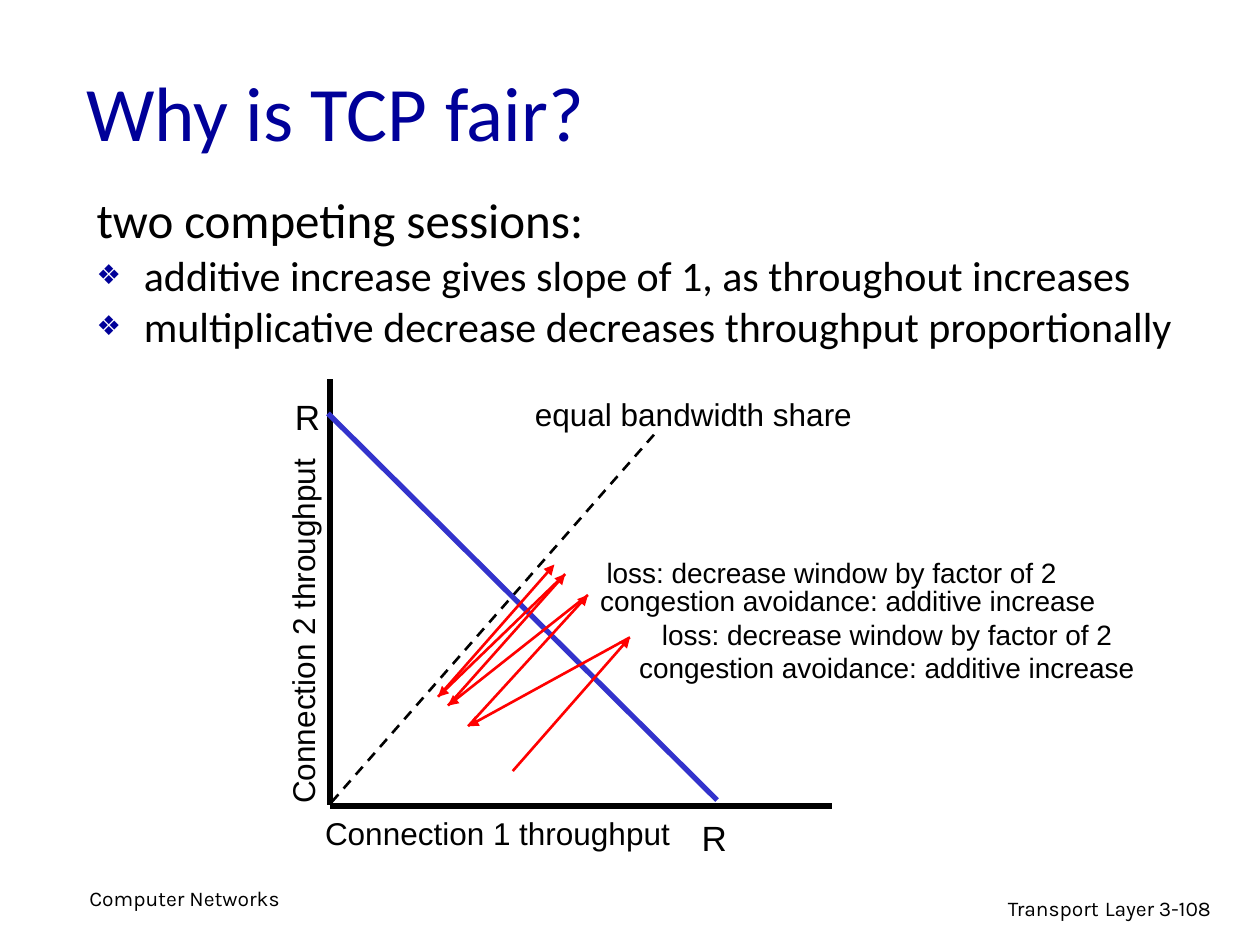
from itertools import pairwise

from lxml.etree import SubElement
from pptx import Presentation
from pptx.dml.color import RGBColor
from pptx.enum.dml import MSO_LINE
from pptx.enum.shapes import MSO_CONNECTOR
from pptx.enum.text import MSO_ANCHOR, MSO_AUTO_SIZE, PP_ALIGN
from pptx.oxml.ns import qn
from pptx.util import Pt

COLORS = {
    "text": "000000",
    "accent": "000099",
    "capacity": "3333CC",
    "path": "FF0000",
}


class SlideBuilder:
    heading_font = "Calibri"
    label_font = "Arial"
    footer_font = "Karla"
    indent = 27

    def __init__(self, slide):
        self.slide = slide

    def set_font(self, paragraph, name, size, color="text"):
        paragraph.font.name = name
        paragraph.font.size = Pt(size)
        paragraph.font.color.rgb = RGBColor.from_string(COLORS[color])

    def place(self, shape, left, top, width, height):
        shape.left, shape.top = Pt(left), Pt(top)
        shape.width, shape.height = Pt(width), Pt(height)
        shape.text_frame.auto_size = MSO_AUTO_SIZE.NONE
        shape.text_frame.word_wrap = True

    def title(self, text, *box):
        shape = self.slide.shapes.title
        self.place(shape, *box)
        shape.text_frame.vertical_anchor = MSO_ANCHOR.MIDDLE
        shape.text_frame.text = text
        paragraph = shape.text_frame.paragraphs[0]
        paragraph.alignment = PP_ALIGN.LEFT
        self.set_font(paragraph, self.heading_font, 44, "accent")

    def body(self, lead, items, *box):
        shape = self.slide.placeholders[1]
        self.place(shape, *box)
        shape.text_frame.text = "\n".join([lead, *items])
        for index, paragraph in enumerate(shape.text_frame.paragraphs):
            size = 24 if index else 28
            paragraph.line_spacing = 0.85
            paragraph.space_before = Pt(0.2 * size if index else 0)
            self.bullet(paragraph, "❖" if index else None)
            self.set_font(paragraph, self.heading_font, size)

    def bullet(self, paragraph, character):
        properties = paragraph._p.get_or_add_pPr()
        properties.set("marL", str(Pt(self.indent)))
        properties.set("indent", str(Pt(-self.indent)))
        if character is None:
            SubElement(properties, qn("a:buNone"))
            return
        color = SubElement(properties, qn("a:buClr"))
        SubElement(color, qn("a:srgbClr"), val=COLORS["accent"])
        SubElement(properties, qn("a:buSzPct"), val="65000")
        SubElement(properties, qn("a:buChar"), char=character)

    def text(self, text, left, top, width, height, size, font=None,
             align=PP_ALIGN.CENTER, rotation=0, wrap=True):
        shape = self.slide.shapes.add_textbox(
            Pt(left), Pt(top), Pt(width), Pt(height))
        shape.rotation = rotation
        shape.text_frame.word_wrap = wrap
        paragraph = shape.text_frame.paragraphs[0]
        paragraph.text = text
        paragraph.alignment = align
        self.set_font(paragraph, font or self.label_font, size)
        return paragraph

    def footer(self, text, *box, align=PP_ALIGN.LEFT):
        return self.text(text, *box, 12, self.footer_font, align)

    def line(self, start, end, color="text", width=3, dashed=False, arrow=False):
        connector = self.slide.shapes.add_connector(
            MSO_CONNECTOR.STRAIGHT, *map(Pt, start + end))
        connector.line.color.rgb = RGBColor.from_string(COLORS[color])
        connector.line.width = Pt(width)
        if dashed:
            connector.line.dash_style = MSO_LINE.DASH
        if arrow:
            SubElement(connector.line._get_or_add_ln(), qn("a:tailEnd"),
                       type="triangle")
        SubElement(connector._element.spPr, qn("a:effectLst"))


def main():
    presentation = Presentation()
    presentation.slide_width, presentation.slide_height = Pt(720), Pt(540)
    slide = presentation.slides.add_slide(presentation.slide_layouts[1])
    builder = SlideBuilder(slide)

    # Title and list
    builder.title("Why is TCP fair?", 42, 18, 612, 90)
    builder.body(
        "two competing sessions:",
        ["additive increase gives slope of 1, as throughout increases",
         "multiplicative decrease decreases throughput proportionally"],
        48, 110, 654, 366)

    # Axes, equal share and capacity lines
    builder.line((188.6, 460.6), (475.2, 460.6))
    builder.line((188.6, 460), (188.6, 216.8))
    builder.line((373.7, 248.4), (188.6, 459.4), width=1.5, dashed=True)
    builder.line((187.4, 236.2), (409.8, 457.2), "capacity")

    # Axis labels
    for left, top in [(160, 222.5), (392.4, 463)]:
        builder.text("R", left, top, 31.6, 31, 20)
    for text, left, top, rotation in [
        ("equal bandwidth share", 256.5, 222, 0),
        ("Connection 1 throughput", 144.6, 461.5, 0),
        ("Connection 2 throughput", 33.2, 346.3, 270),
    ]:
        builder.text(text, left, top, 279.4, 28.8, 18, rotation=rotation)

    # Throughput path: increase and decrease in turn
    path = [(293, 440.6), (360, 364.2), (267.5, 415), (336, 340),
            (256, 403.2), (323, 328), (250.3, 398.2), (316.8, 322.6)]
    for start, end in pairwise(path):
        builder.line(start, end, "path", 1.5, arrow=True)

    # Path labels
    for left, top in [(328.3, 368), (306, 329.8)]:
        builder.text("congestion avoidance: additive increase",
                     left, top, 357, 26.6, 16)
    for left, top in [(370.8, 349.2), (339.1, 313.9)]:
        builder.text("loss: decrease window by factor of 2",
                     left, top, 272.2, 26.6, 16, wrap=False)

    # Footer
    builder.footer("Computer Networks", 44, 502.6, 150, 24)
    chapter = builder.footer("Transport", 438.5, 506.2, 228.2, 22.3,
                             align=PP_ALIGN.RIGHT)
    space = chapter.add_run()
    space.text = " "
    space.font.size = Pt(14)
    chapter.add_run().text = "Layer"
    builder.footer("3-108", 655.2, 508.3, 53.3, 21.6)

    presentation.save("out.pptx")


if __name__ == "__main__":
    main()
